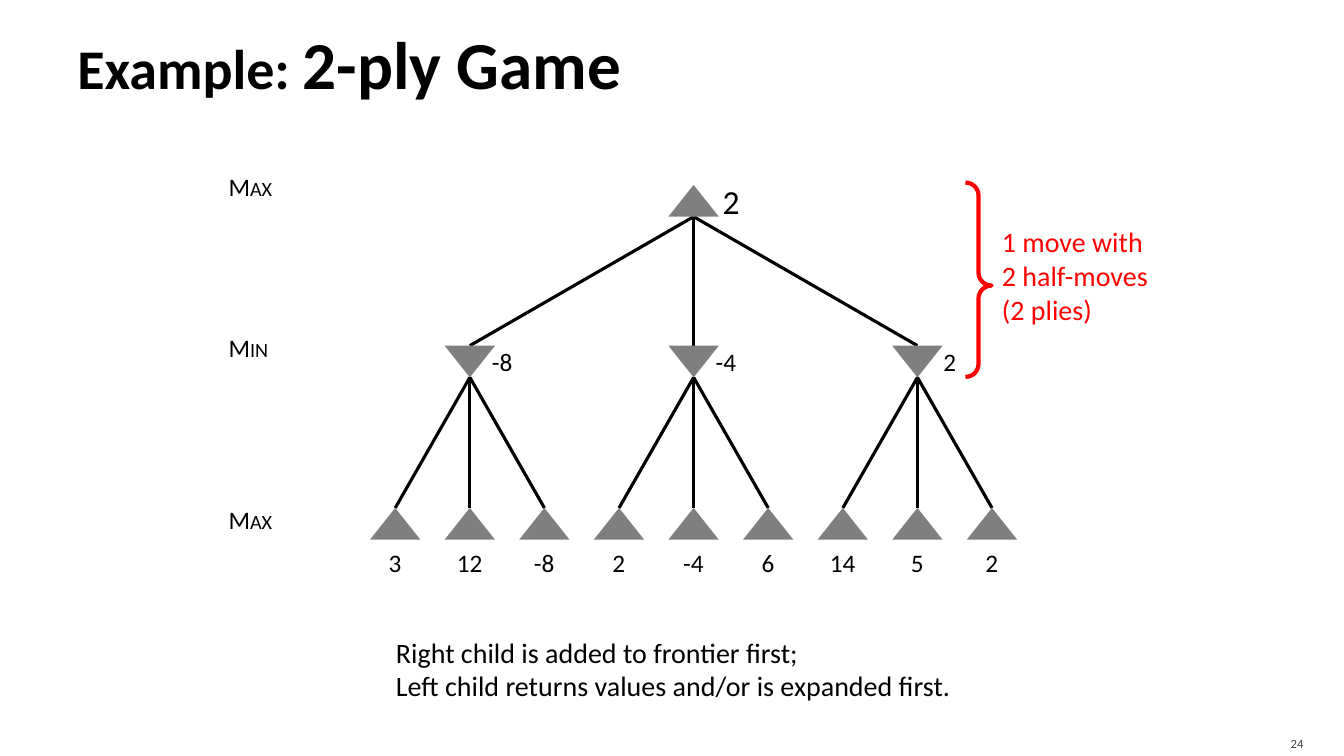
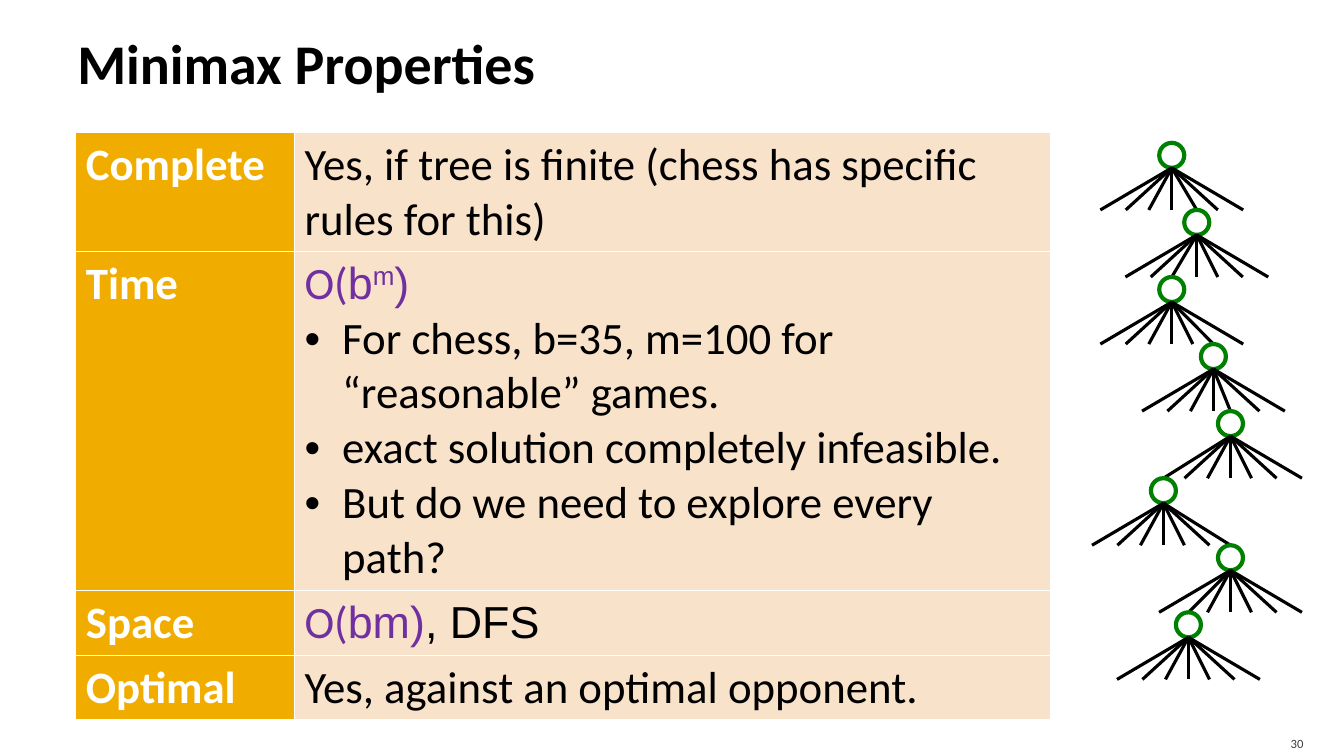
from lxml import etree
from pptx import Presentation
from pptx.dml.color import RGBColor
from pptx.enum import shapes, text
from pptx.oxml import ns
from pptx.util import Cm, Pt

BLACK = RGBColor(0, 0, 0)
WHITE = RGBColor(255, 255, 255)
GRAY = RGBColor(0x7F, 0x7F, 0x7F)
FOOTER_GRAY = RGBColor(0x41, 0x41, 0x41)
RED = RGBColor(255, 0, 0)
GREEN = RGBColor(0, 0x80, 0)
PURPLE = RGBColor(0x70, 0x30, 0xA0)
GOLD = RGBColor(0xF0, 0xAD, 0)
CREAM = RGBColor(0xF9, 0xE2, 0xCA)
FONT = "Calibri"
SHAPE = shapes.MSO_SHAPE
ALIGN = text.PP_ALIGN
ANCHOR = text.MSO_ANCHOR

GAME_TITLE = ["Example: ", ("2-ply Game", {"size": Pt(48)})]
LEVELS = [("Max", 4.2), ("Min", 8.24), ("Max", 12.57)]
ROOT_VALUE = "2"
MIN_VALUES = ["-8", "-4", "2"]
LEAF_VALUES = ["3", "12", "-8", "2", "-4", "6", "14", "5", "2"]
MOVE_NOTE = "1 move with 2 half-moves (2 plies)"
ORDER_NOTE = [
    "Right child is added to frontier first;",
    "Left child returns values and/or is expanded first.",
]
ROOT_TOP, MIN_TOP, LEAF_TOP = 4.66, 8.71, 12.8
FIRST_LEAF, LEAF_PITCH = 9.96, 1.88
TRIANGLE_WIDTH, TRIANGLE_HEIGHT = 1.27, 0.8

PROPERTIES_TITLE = ["Minimax Properties"]
COST = {"color": PURPLE}
COST_ARIAL = {"color": PURPLE, "name": "Arial"}
PROPERTIES = [
    ("Complete", 3, [["Yes, if tree is finite (chess has specific rules for this)"]], []),
    ("Time", 8.54,
     [[("O(", COST), ("b", COST_ARIAL), ("m", {**COST_ARIAL, "baseline": 30000}), (")", COST_ARIAL)]],
     ["For chess, b=35, m=100 for “reasonable” games.",
      "exact solution completely infeasible.",
      "But do we need to explore every path?"]),
    ("Space", 1.64, [[("O(", COST), ("bm)", COST_ARIAL), (", DFS", {"name": "Arial"})]], []),
    ("Optimal", 1.61, [["Yes, against an optimal opponent."]], []),
]
COLUMN_WIDTHS = [5.51, 19.05]
NODE_CENTERS = [29.53, 30.16, 29.53, 30.58, 31.01, 29.32, 31.01, 29.95]
FAN = [-1.8, -1.16, -0.58, 0, 0.53, 1.16, 1.8]
NODE_TOP, NODE_PITCH, NODE_SIZE = 3.6, 1.69, 0.63


def lengths(*values):
    return [Cm(value) for value in values]


def style_font(font, size=None, color=None, bold=None, name=None):
    if size is not None:
        font.size = size
    if color is not None:
        font.color.rgb = color
    if bold is not None:
        font.bold = bold
    if name is not None:
        font.name = name


def fill_paragraph(para, spans, size, color=BLACK, bold=False, align=ALIGN.LEFT):
    para.alignment = align
    style_font(para.font, size, color, bold, FONT)
    for item in spans:
        words, changes = (item, {}) if isinstance(item, str) else item
        span = para.add_run()
        span.text = words
        changes = dict(changes)
        for key, attribute in (("baseline", "baseline"), ("caps", "cap")):
            if key in changes:
                span._r.get_or_add_rPr().set(attribute, str(changes.pop(key)))
        style_font(span.font, **changes)


def next_paragraph(frame, index):
    return frame.paragraphs[0] if index == 0 else frame.add_paragraph()


def add_text(page, place, paragraphs, size, insets=(0.25, 0.13, 0.25, 0.13),
             anchor=ANCHOR.TOP, **style):
    box = page.shapes.add_textbox(*lengths(*place))
    frame = box.text_frame
    frame.word_wrap = True
    frame.vertical_anchor = anchor
    frame.margin_left, frame.margin_top, frame.margin_right, frame.margin_bottom = lengths(*insets)
    for index, spans in enumerate(paragraphs):
        fill_paragraph(next_paragraph(frame, index), spans, Pt(size), **style)


def add_shape(page, kind, place, fill=None, line=None):
    shape = page.shapes.add_shape(kind, *lengths(*place))
    shape.shadow.inherit = False
    if fill is None:
        shape.fill.background()
    else:
        shape.fill.solid()
        shape.fill.fore_color.rgb = fill
    if line is None:
        shape.line.fill.background()
    else:
        shape.line.color.rgb = line
        shape.line.width = Pt(3)
    return shape


def add_branch(page, start, end):
    branch = page.shapes.add_connector(shapes.MSO_CONNECTOR.STRAIGHT, *lengths(*start, *end))
    branch.line.color.rgb = BLACK
    branch.line.width = Pt(2.25)
    etree.SubElement(branch._element.spPr, ns.qn("a:effectLst"))


def add_page(deck, title, number):
    page = deck.slides.add_slide(deck.slide_layouts[6])
    add_text(page, (1.7, 0.2, 30.48, 2.74), [title], 40, (0.25, 0.13, 0.13, 0.13),
             ANCHOR.MIDDLE, bold=True)
    add_text(page, (30.38, 18.29, 2.72, 0.76), [[number]], 9, (0.25, 0.13, 0.25, 0),
             ANCHOR.MIDDLE, color=FOOTER_GRAY, align=ALIGN.RIGHT)
    return page


def add_triangle(page, center, top, down=False):
    place = (center - TRIANGLE_WIDTH / 2, top, TRIANGLE_WIDTH, TRIANGLE_HEIGHT)
    triangle = add_shape(page, SHAPE.ISOSCELES_TRIANGLE, place, GRAY)
    triangle.rotation = 180 if down else 0


def add_value(page, value, center, middle, size=18):
    add_text(page, (center - 0.64, middle - 0.65, 1.27, 1.3), [[value]], size,
             (0, 0, 0, 0), ANCHOR.MIDDLE, align=ALIGN.CENTER)


def build_game(deck):
    page = add_page(deck, GAME_TITLE, "24")
    leaves = [FIRST_LEAF + LEAF_PITCH * index for index in range(len(LEAF_VALUES))]
    minimums = leaves[1::3]
    root = minimums[1]
    half = TRIANGLE_HEIGHT / 2

    for center in minimums:
        add_branch(page, (root, ROOT_TOP + TRIANGLE_HEIGHT), (center, MIN_TOP))
    for index, center in enumerate(leaves):
        add_branch(page, (minimums[index // 3], MIN_TOP + TRIANGLE_HEIGHT), (center, LEAF_TOP))

    add_triangle(page, root, ROOT_TOP)
    add_value(page, ROOT_VALUE, root + 0.95, ROOT_TOP + half, 24)
    for center, value in zip(minimums, MIN_VALUES):
        add_triangle(page, center, MIN_TOP, down=True)
        add_value(page, value, center + 0.82, MIN_TOP + half)
    for center, value in zip(leaves, LEAF_VALUES):
        add_triangle(page, center, LEAF_TOP)
        add_value(page, value, center, LEAF_TOP + 1.38)

    for name, top in LEVELS:
        add_text(page, (5.51, top, 1.66, 1.02), [[(name, {"caps": "small"})]], 18)
    add_text(page, (9.73, 15.88, 15.16, 1.96), [[line] for line in ORDER_NOTE], 20)
    brace = add_shape(page, SHAPE.RIGHT_BRACE, (24.33, 4.6, 0.66, 4.9), line=RED)
    brace.adjustments[0], brace.adjustments[1] = 0.49, 0.53
    add_text(page, (25, 5.54, 4.32, 2.82), [[MOVE_NOTE]], 20, color=RED)


def paint_cell(cell, color):
    properties = cell._tc.get_or_add_tcPr()
    for side in ("lnL", "lnR", "lnT", "lnB"):
        border = etree.SubElement(properties, ns.qn("a:" + side), w=str(Pt(1)))
        solid = etree.SubElement(border, ns.qn("a:solidFill"))
        etree.SubElement(solid, ns.qn("a:srgbClr"), val=str(WHITE))
    cell.fill.solid()
    cell.fill.fore_color.rgb = color


def add_bullet(para):
    properties = para._p.get_or_add_pPr()
    properties.set("marL", str(Cm(0.95)))
    properties.set("indent", str(Cm(-0.95)))
    tint = etree.SubElement(properties, ns.qn("a:buClr"))
    etree.SubElement(tint, ns.qn("a:srgbClr"), val=str(BLACK))
    etree.SubElement(properties, ns.qn("a:buFont"), typeface="Arial")
    etree.SubElement(properties, ns.qn("a:buChar"), char="•")


def add_properties_table(page):
    heights = [height for _, height, _, _ in PROPERTIES]
    place = lengths(1.91, 3.34, sum(COLUMN_WIDTHS), sum(heights))
    table = page.shapes.add_table(len(PROPERTIES), len(COLUMN_WIDTHS), *place).table
    table.first_row = table.horz_banding = False
    for column, width in zip(table.columns, COLUMN_WIDTHS):
        column.width = Cm(width)
    for row, (name, height, paragraphs, bullets) in enumerate(PROPERTIES):
        table.rows[row].height = Cm(height)
        label, detail = table.cell(row, 0), table.cell(row, 1)
        paint_cell(label, GOLD)
        paint_cell(detail, CREAM)
        fill_paragraph(label.text_frame.paragraphs[0], [name], Pt(32), WHITE, True)
        for index, spans in enumerate(paragraphs + [[bullet] for bullet in bullets]):
            para = next_paragraph(detail.text_frame, index)
            if index >= len(paragraphs):
                add_bullet(para)
            fill_paragraph(para, spans, Pt(32))


def build_properties(deck):
    page = add_page(deck, PROPERTIES_TITLE, "30")
    add_properties_table(page)
    for index, center in enumerate(NODE_CENTERS):
        top = NODE_TOP + NODE_PITCH * index
        offsets = list(FAN)
        if index + 1 < len(NODE_CENTERS):
            step = NODE_CENTERS[index + 1] - center
            nearest = min(range(len(FAN)), key=lambda slot: abs(FAN[slot] - step))
            offsets[nearest] = step
        add_shape(page, SHAPE.OVAL, (center - NODE_SIZE / 2, top, NODE_SIZE, NODE_SIZE), line=GREEN)
        for offset in offsets:
            add_branch(page, (center, top + NODE_SIZE), (center + offset, top + NODE_PITCH))


def main():
    deck = Presentation()
    deck.slide_width, deck.slide_height = lengths(33.87, 19.05)
    build_game(deck)
    build_properties(deck)
    deck.save("out.pptx")


if __name__ == "__main__":
    main()
